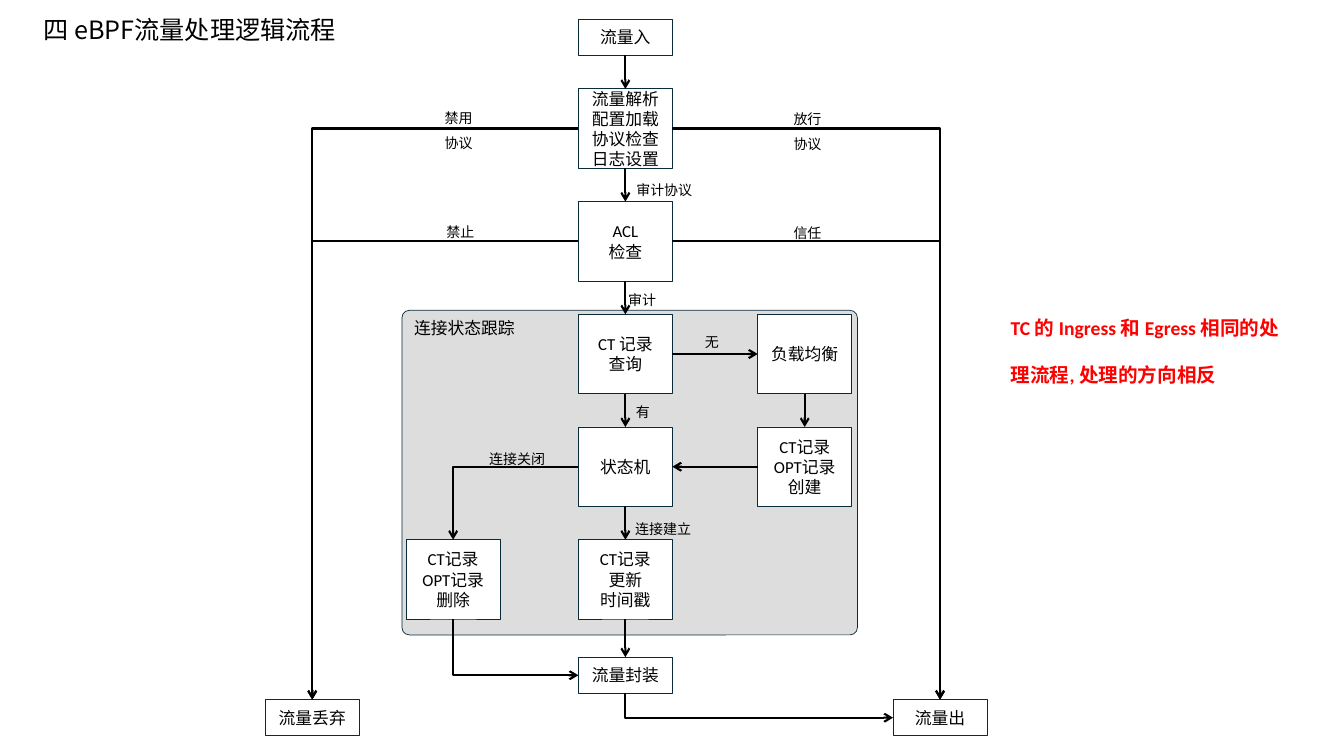
from dataclasses import dataclass

from lxml.etree import SubElement
from pptx import Presentation
from pptx.dml.color import RGBColor
from pptx.enum.shapes import MSO_CONNECTOR, MSO_SHAPE
from pptx.enum.text import MSO_ANCHOR, MSO_AUTO_SIZE, PP_ALIGN
from pptx.oxml.ns import qn
from pptx.util import Cm, Pt


@dataclass(frozen=True)
class Theme:
    ink: RGBColor = RGBColor(0, 0, 0)
    edge: RGBColor = RGBColor(0x09, 0x2A, 0x39)
    paper: RGBColor = RGBColor(0xFF, 0xFF, 0xFF)
    panel: RGBColor = RGBColor(0xD1, 0xD1, 0xD1)
    alert: RGBColor = RGBColor(0xFF, 0, 0)
    head: int = 18
    note: int = 14
    node: int = 12
    label: int = 10
    latin: str = "Calibri"
    han: str = "Noto Sans CJK SC"


THEME = Theme()
TOP, LEFT, BOTTOM, RIGHT = range(4)
NODE_W, TALL, SHORT = 2.37, 2.0, 0.91

# Column centres and row tops, in cm from the corner of the flow
COLS = {"drop": 1.19, "left": 4.74, "mid": 9.08, "right": 13.6, "out": 17.01}
ROWS = [1.76 + 2.84 * i for i in range(5)]
PACK_ROW, END_ROW = 16.08, 17.15

NODES = {
    "in": ("mid", 0, SHORT, "流量入"),
    "parse": ("mid", ROWS[0], TALL, "流量解析\n配置加载\n协议检查\n日志设置"),
    "acl": ("mid", ROWS[1], TALL, "ACL\n检查"),
    "query": ("mid", ROWS[2], TALL, "CT 记录\n查询"),
    "balance": ("right", ROWS[2], TALL, "负载均衡"),
    "state": ("mid", ROWS[3], TALL, "状态机"),
    "create": ("right", ROWS[3], TALL, "CT记录\nOPT记录\n创建"),
    "update": ("mid", ROWS[4], TALL, "CT记录\n更新\n时间戳"),
    "delete": ("left", ROWS[4], TALL, "CT记录\nOPT记录 删除"),
    "pack": ("mid", PACK_ROW, SHORT, "流量封装"),
    "drop": ("drop", END_ROW, SHORT, "流量丢弃"),
    "out": ("out", END_ROW, SHORT, "流量出"),
}

WIRES = [
    ("in", BOTTOM, "parse", TOP),
    ("parse", BOTTOM, "acl", TOP),
    ("acl", BOTTOM, "query", TOP),
    ("query", BOTTOM, "state", TOP),
    ("state", BOTTOM, "update", TOP),
    ("update", BOTTOM, "pack", TOP),
    ("query", RIGHT, "balance", LEFT),
    ("balance", BOTTOM, "create", TOP),
    ("create", LEFT, "state", RIGHT),
    ("parse", LEFT, "drop", TOP),
    ("parse", RIGHT, "out", TOP),
    ("acl", LEFT, "drop", TOP),
    ("acl", RIGHT, "out", TOP),
    ("state", LEFT, "delete", TOP),
    ("delete", BOTTOM, "pack", LEFT),
    ("pack", BOTTOM, "out", LEFT),
]

# Centre, top, text
LABELS = [
    (4.88, 2.07, "禁用\n协议"),
    (13.67, 2.09, "放行\n协议"),
    (10.06, 3.89, "审计协议"),
    (4.92, 4.93, "禁止"),
    (13.67, 4.96, "信任"),
    (9.5, 6.66, "审计"),
    (11.26, 7.7, "无"),
    (9.52, 9.48, "有"),
    (10.03, 12.42, "连接建立"),
    (6.35, 10.67, "连接关闭"),
]


def write(frame, text, size, latin, color=THEME.ink, align=PP_ALIGN.LEFT,
          space=None, bold=False):
    """Fill a text frame, one paragraph to a line of text."""
    frame.word_wrap = True
    for i, words in enumerate(text.split("\n")):
        para = frame.add_paragraph() if i else frame.paragraphs[0]
        para.alignment = align
        if space:
            para.line_spacing = space
        run = para.add_run()
        run.text = words
        font = run.font
        font.size, font.name, font.bold = Pt(size), latin, bold
        font.color.rgb = color
        SubElement(run.font._element, qn("a:ea"), typeface=THEME.han)


def add_block(slide, kind, box, fill):
    block = slide.shapes.add_shape(kind, *map(Cm, box))
    block.shadow.inherit = False
    block.fill.solid()
    block.fill.fore_color.rgb = fill
    block.line.color.rgb = THEME.edge
    block.line.width = Pt(0.5)
    return block


def add_panel(slide, box):
    panel = add_block(slide, MSO_SHAPE.ROUNDED_RECTANGLE, box, THEME.panel)
    panel.adjustments[0] = 0.023
    color = panel.element.spPr.find(qn("a:solidFill"))[0]
    SubElement(color, qn("a:alpha"), val="72000")
    panel.text_frame.vertical_anchor = MSO_ANCHOR.TOP
    write(panel.text_frame, "连接状态跟踪", THEME.node, THEME.latin)


def add_node(slide, box, text):
    node = add_block(slide, MSO_SHAPE.RECTANGLE, box, THEME.paper)
    node.text_frame.vertical_anchor = MSO_ANCHOR.MIDDLE
    write(node.text_frame, text, THEME.node, THEME.latin, align=PP_ALIGN.CENTER)
    return node


def add_wire(slide, start, side, end, into):
    """Join two nodes by an arrow, with one bend when the sides are not opposite."""
    bent = side % 2 != into % 2
    kind = MSO_CONNECTOR.ELBOW if bent else MSO_CONNECTOR.STRAIGHT
    wire = slide.shapes.add_connector(kind, 0, 0, 0, 0)
    wire.begin_connect(start, side)
    wire.end_connect(end, into)
    wire.line.color.rgb = THEME.ink
    wire.line.width = Pt(1.5)
    props = wire.element.spPr
    SubElement(props.find(qn("a:ln")), qn("a:tailEnd"), type="arrow")
    SubElement(props, qn("a:effectLst"))
    if bent:
        props.find(qn("a:prstGeom")).set("prst", "bentConnector2")
        if side == BOTTOM:
            turn_down(wire)


def turn_down(wire):
    """Make a bent wire leave downward and then run right."""
    wide, high = wire.width, wire.height
    shift = (wide - high) // 2
    wire.left, wire.top = wire.left + shift, wire.top - shift
    wire.width, wire.height = high, wide
    frame = wire.element.spPr.find(qn("a:xfrm"))
    frame.set("rot", "16200000")
    frame.set("flipH", "1")


def add_label(slide, mid, top, text):
    lines = text.split("\n")
    wide = 0.97 if len(lines[0]) <= 2 else 1.93
    box = (mid - wide / 2, top, wide, 0.6 * len(lines))
    frame = slide.shapes.add_textbox(*map(Cm, box)).text_frame
    frame.margin_left = frame.margin_right = 0
    frame.margin_top = frame.margin_bottom = 0
    write(frame, text, THEME.label, THEME.han, align=PP_ALIGN.CENTER, space=1.5)


def draw_title(slide, box):
    title = slide.shapes.title
    title.left, title.top, title.width, title.height = map(Cm, box)
    frame = title.text_frame
    frame.auto_size = MSO_AUTO_SIZE.NONE
    frame.vertical_anchor = MSO_ANCHOR.TOP
    write(frame, "四 eBPF流量处理逻辑流程", THEME.head, THEME.han)


def draw_flow(slide, box):
    x, y = box[:2]
    add_panel(slide, (x + 3.45, y + 7.34, 11.48, 8.18))
    nodes = {}
    for name, (col, row, high, text) in NODES.items():
        place = (x + COLS[col] - NODE_W / 2, y + row, NODE_W, high)
        nodes[name] = add_node(slide, place, text)
    for start, side, end, into in WIRES:
        add_wire(slide, nodes[start], side, nodes[end], into)
    for mid, top, text in LABELS:
        add_label(slide, x + mid, y + top, text)


def draw_note(slide, box):
    note = slide.shapes.add_textbox(*map(Cm, box))
    write(note.text_frame, "TC 的 Ingress 和 Egress 相同的处理流程, 处理的方向相反",
          THEME.note, THEME.latin, THEME.alert, space=2, bold=True)


def main():
    deck = Presentation()
    deck.slide_width, deck.slide_height = Cm(33.87), Cm(19.05)
    slide = deck.slides.add_slide(deck.slide_layouts[5])
    draw_title(slide, (0.84, 0.23, 7.98, 1.02))
    draw_flow(slide, (6.68, 0.48, 18.2, 18.06))
    draw_note(slide, (25.22, 7.24, 7.67, 2.49))
    deck.save("out.pptx")


if __name__ == "__main__":
    main()
